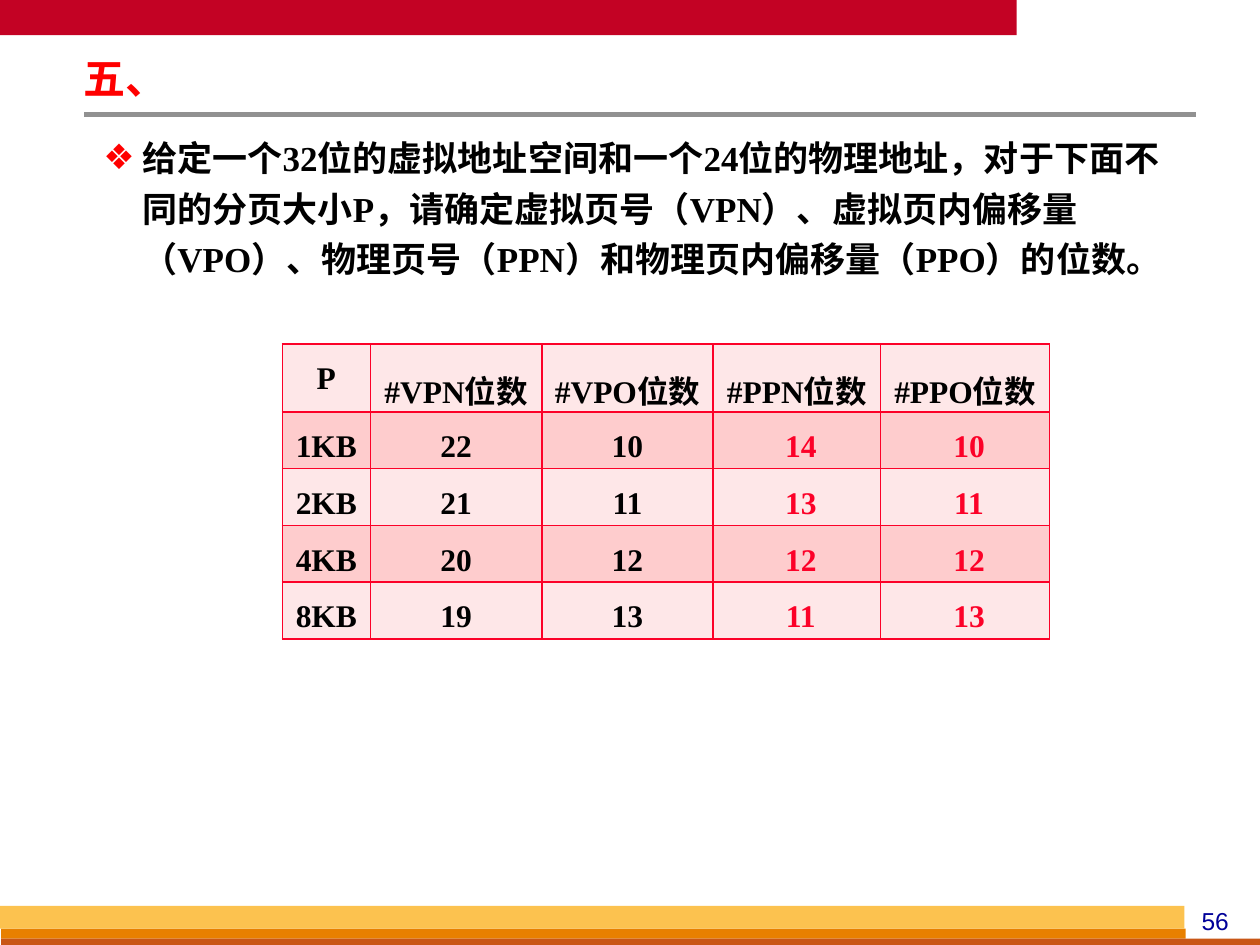
from dataclasses import dataclass

from lxml import etree
from pptx import Presentation
from pptx import util as u
from pptx.dml.color import RGBColor
from pptx.enum import shapes, text
from pptx.oxml import ns

WIDTH, HEIGHT = 10, 7.5
SERIF = "Times New Roman"
RED, BLACK, ACCENT = "FF0000", "000000", "FC0128"
NBSP = " "


@dataclass
class Area:
    """A rectangle in shares of the slide's width and height."""
    left: float
    top: float
    width: float
    height: float

    def inches(self) -> tuple:
        return (u.Inches(self.left * WIDTH), u.Inches(self.top * HEIGHT),
                u.Inches(self.width * WIDTH), u.Inches(self.height * HEIGHT))


@dataclass
class Band:
    area: Area
    colour: str


BANDS = [
    Band(Area(0, 0, 0.807, 0.28 / HEIGHT), "C30224"),
    Band(Area(0.001, 7.37 / HEIGHT, 0.94, 0.08 / HEIGHT), "E88000"),
    Band(Area(0.001, 7.45 / HEIGHT, 1, 0.08 / HEIGHT), "C95616"),
    Band(Area(0, 7.19 / HEIGHT, 0.94, 0.18 / HEIGHT), "FCC24F"),
]
COLUMN_WIDTHS = [0.7, 1.36, 1.36, 1.33, 1.34]
ROW_HEIGHTS = [0.54] + [0.41] * 4
TABLE_ROWS = [
    ["P", "#VPN位数", "#VPO位数", "#PPN位数", "#PPO位数"],
    ["1KB", "22", "10", "14", "10"],
    ["2KB", "21", "11", "13", "11"],
    ["4KB", "20", "12", "12", "12"],
    ["8KB", "19", "13", "11", "13"],
]
STRIPES = ["FEE7E8", "FECCCD"]
FIRST_ANSWER_COLUMN = 3


def colour(value: str) -> RGBColor:
    return RGBColor.from_string(value)


def format_text(para, size: float, shade: str, font: str = SERIF, bold: bool = True) -> None:
    for span in para.runs:
        span.font.size = u.Pt(size)
        span.font.name = font
        span.font.bold = bold
        span.font.color.rgb = colour(shade)


def draw_band(page, band: Band) -> None:
    box = page.shapes.add_shape(shapes.MSO_SHAPE.RECTANGLE, *band.area.inches())
    box.shadow.inherit = False
    box.fill.solid()
    box.fill.fore_color.rgb = colour(band.colour)
    box.line.fill.background()


def draw_rule(page) -> None:
    height = u.Inches(0.91)
    rule = page.shapes.add_connector(shapes.MSO_CONNECTOR.STRAIGHT,
                                     u.Inches(0.67), height, u.Inches(9.49), height)
    rule.line.color.rgb = colour("919191")
    rule.line.width = u.Pt(3)
    etree.SubElement(rule._element.spPr, ns.qn("a:effectLst"))


def fill_placeholder(box, area: Area, words: str):
    """Place a placeholder, set its text and return the paragraph."""
    box.left, box.top, box.width, box.height = area.inches()
    frame = box.text_frame
    frame.text = words
    frame.word_wrap = True
    frame.auto_size = text.MSO_AUTO_SIZE.SHAPE_TO_FIT_TEXT
    frame.vertical_anchor = text.MSO_ANCHOR.TOP
    frame.margin_left = frame.margin_right = u.Inches(0.07)
    frame.margin_top = frame.margin_bottom = u.Inches(0.03)
    return frame.paragraphs[0]


def add_bullet(para, mark: str, shade: str, indent: float) -> None:
    settings = para._p.get_or_add_pPr()
    settings.set("marL", str(u.Inches(indent)))
    settings.set("indent", str(-u.Inches(indent)))
    tint = etree.SubElement(settings, ns.qn("a:buClr"))
    etree.SubElement(tint, ns.qn("a:srgbClr"), val=shade)
    etree.SubElement(settings, ns.qn("a:buChar"), char=mark)


def add_borders(cell, shade: str, width: float) -> None:
    settings = cell._tc.get_or_add_tcPr()
    for place, side in enumerate(("lnL", "lnR", "lnT", "lnB")):
        edge = etree.Element(ns.qn(f"a:{side}"), w=str(u.Pt(width)))
        fill = etree.SubElement(edge, ns.qn("a:solidFill"))
        etree.SubElement(fill, ns.qn("a:srgbClr"), val=shade)
        settings.insert(place, edge)


def draw_cell(cell, words: str, shade: str, fill: str) -> None:
    cell.text = words
    cell.margin_left = cell.margin_right = u.Inches(0.07)
    cell.margin_top = cell.margin_bottom = 0
    cell.fill.solid()
    cell.fill.fore_color.rgb = colour(fill)
    para = cell.text_frame.paragraphs[0]
    para.alignment = text.PP_ALIGN.CENTER
    para.line_spacing = 1.5
    format_text(para, 18, shade)
    add_borders(cell, ACCENT, 1)


def draw_table(page) -> None:
    area = Area(0.224, 2.73 / HEIGHT, sum(COLUMN_WIDTHS) / WIDTH, sum(ROW_HEIGHTS) / HEIGHT)
    table = page.shapes.add_table(len(TABLE_ROWS), len(COLUMN_WIDTHS), *area.inches()).table
    for column, width in zip(table.columns, COLUMN_WIDTHS):
        column.width = u.Inches(width)
    for row, height in zip(table.rows, ROW_HEIGHTS):
        row.height = u.Inches(height)
    for r, values in enumerate(TABLE_ROWS):
        for c, value in enumerate(values):
            answer = r > 0 and c >= FIRST_ANSWER_COLUMN
            draw_cell(table.cell(r, c), NBSP + value if answer else value,
                      ACCENT if answer else BLACK, STRIPES[r % 2])


def draw_page_number(page) -> None:
    box = page.shapes.add_textbox(*Area(0.933, 7.14 / HEIGHT, 0.063, 0.33 / HEIGHT).inches())
    box.text_frame.word_wrap = True
    box.text_frame.text = "56"
    para = box.text_frame.paragraphs[0]
    para.alignment = text.PP_ALIGN.CENTER
    format_text(para, 14, "000099", "Arial", False)


def main() -> None:
    deck = Presentation()
    deck.slide_width, deck.slide_height = u.Inches(WIDTH), u.Inches(HEIGHT)
    page = deck.slides.add_slide(deck.slide_layouts[1])

    # Frame of the page
    for band in BANDS:
        draw_band(page, band)
    draw_rule(page)
    draw_page_number(page)

    # Title
    title = fill_placeholder(page.shapes.title,
                             Area(0.059, 0.44 / HEIGHT, 0.575, 0.41 / HEIGHT), "五、")
    title.alignment = text.PP_ALIGN.LEFT
    title.line_spacing = 0.87
    format_text(title, 24, RED)

    # Question
    question = fill_placeholder(
        page.placeholders[1], Area(0.075, 0.99 / HEIGHT, 0.858, 1.27 / HEIGHT),
        "给定一个32位的虚拟地址空间和一个24位的物理地址，对于下面不同的分页大小P，"
        "请确定虚拟页号（VPN）、虚拟页内偏移量（VPO）、物理页号（PPN）和"
        "物理页内偏移量（PPO）的位数。")
    question.line_spacing = 1.2
    question.space_before = question.space_after = u.Pt(4)
    add_bullet(question, "❖", RED, 0.31)
    format_text(question, 20, BLACK)

    # Answers
    draw_table(page)
    deck.save("out.pptx")


if __name__ == "__main__":
    main()
